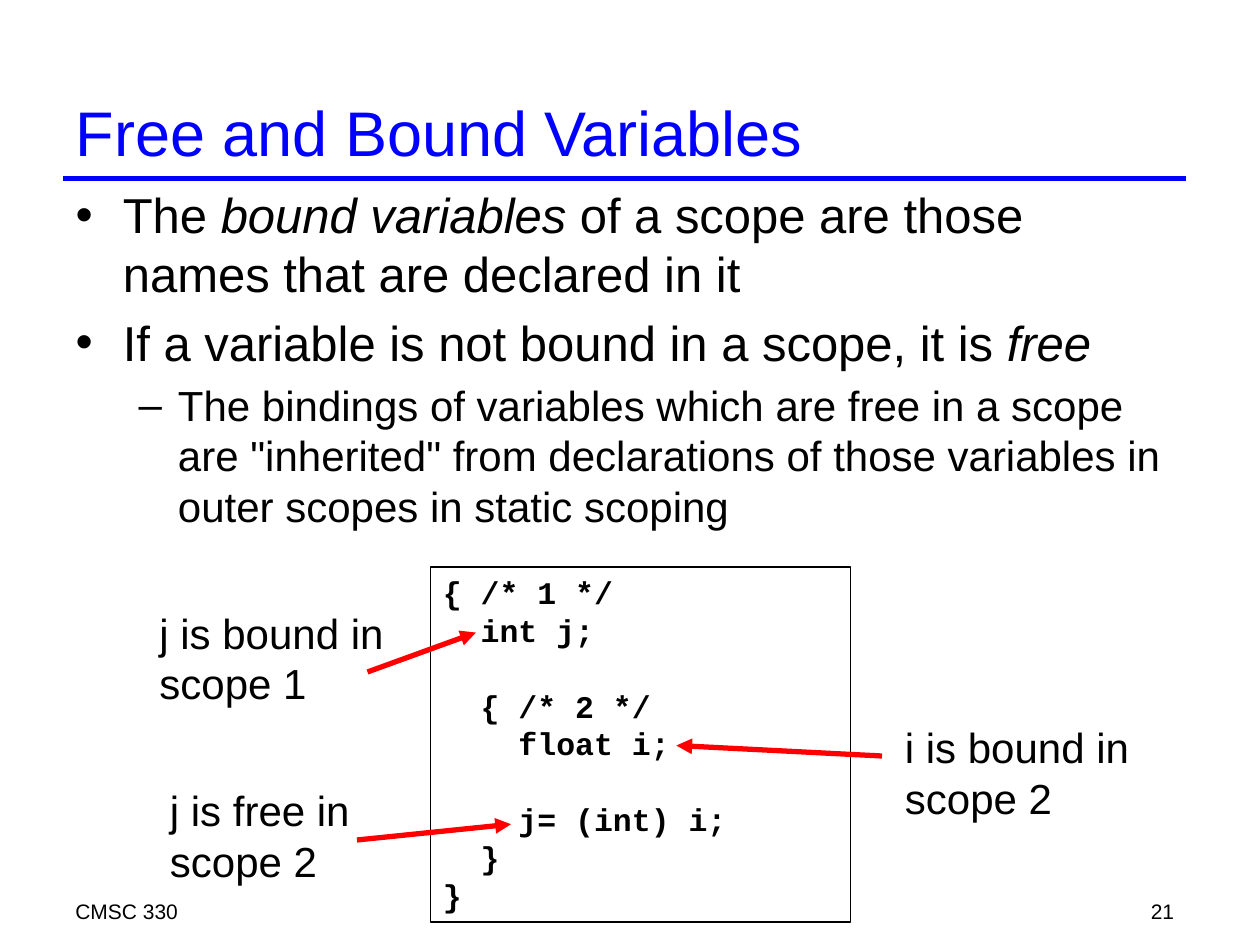
from pptx import Presentation
from pptx.dml.color import RGBColor
from pptx.enum.shapes import MSO_CONNECTOR, MSO_SHAPE
from pptx.enum.text import MSO_ANCHOR, MSO_AUTO_SIZE, PP_ALIGN
from pptx.oxml.ns import qn
from pptx.util import Pt
from lxml.etree import SubElement

BLACK, BLUE, RED, WHITE = "000000", "0000FF", "FF0000", "FFFFFF"
LINE_HEIGHT = 1.2
CODE_SIZE = 18
CODE_INDENT = 21.6  # two characters of code

# Content
TITLE = "Free and Bound Variables"
BULLETS = [  # level, size, runs of (text, italic)
    (0, 28, [("The ", False), ("bound variables", True),
             (" of a scope are those names that are declared in it", False)]),
    (0, 28, [("If a variable is not bound in a scope, it is ", False),
             ("free", True)]),
    (1, 24, [("The bindings of variables which are free in a scope are "
              "\"inherited\" from declarations of those variables in outer "
              "scopes in static scoping", False)]),
]
CODE = [  # indent level, blank lines before, text
    (0, 0, "{ /* 1 */"),
    (1, 0, "int j;"),
    (1, 1, "{ /* 2 */"),
    (2, 0, "float i;"),
    (2, 1, "j= (int) i;"),
    (1, 0, "}"),
    (0, 0, "}"),
]
LABELS = [  # left, top, width, height, lines
    (510, 409, 142.5, 64.8, ["i is bound in", "scope 2"]),
    (90, 445, 117.5, 64.8, ["j is free in", "scope 2"]),
    (84, 343.5, 142.5, 64.8, ["j is bound in", "scope 1"]),
]
ARROWS = [  # start, end
    ((504, 432), (386.5, 426)),
    ((204, 480), (292, 471)),
    ((210, 384), (272, 361.5)),
]
FOOTERS = [  # left, top, width, height, text, alignment
    (36, 510, 438, 18, "CMSC 330", PP_ALIGN.LEFT),
    (528, 510, 150, 18, "21", PP_ALIGN.RIGHT),
]


def color(hex_string):
    return RGBColor.from_string(hex_string)


def place(shape, *box):
    shape.left, shape.top, shape.width, shape.height = map(Pt, box)


def add_span(para, text, size, ink=BLACK, font="Arial", bold=False, italic=False):
    span = para.add_run()
    span.text = text
    span.font.name, span.font.size = font, Pt(size)
    span.font.bold, span.font.italic = bold, italic
    span.font.color.rgb = color(ink)


def paragraphs(frame, items):
    """Yield a paragraph of the frame for each item."""
    for index, item in enumerate(items):
        yield (frame.add_paragraph() if index else frame.paragraphs[0]), item


def add_line(start, end, ink, arrow=False):
    line = page.shapes.add_connector(
        MSO_CONNECTOR.STRAIGHT, *map(Pt, start + end))
    line.line.color.rgb, line.line.width = color(ink), Pt(3)
    if arrow:
        SubElement(line.line._get_or_add_ln(), qn("a:tailEnd"), type="triangle")
    SubElement(line._element.spPr, qn("a:effectLst"))


deck = Presentation()
deck.slide_width, deck.slide_height = Pt(720), Pt(540)
page = deck.slides.add_slide(deck.slide_layouts[1])
page.background.fill.solid()
page.background.fill.fore_color.rgb = color(WHITE)

# Title and rule
title = page.shapes.title
place(title, 36, 48, 642, 54)
title.text_frame.auto_size = MSO_AUTO_SIZE.NONE
title.text_frame.vertical_anchor = MSO_ANCHOR.MIDDLE
heading = title.text_frame.paragraphs[0]
heading.alignment = PP_ALIGN.LEFT
add_span(heading, TITLE, 36, BLUE)
add_line((36, 102), (678, 102), BLUE)

# Bullets: marks, indents and gaps come from the template
body = page.placeholders[1]
place(body, 36, 102, 642, 426)
body.text_frame.auto_size = MSO_AUTO_SIZE.NONE
for para, (level, size, spans) in paragraphs(body.text_frame, BULLETS):
    para.level = level
    para.line_spacing = Pt(size * LINE_HEIGHT)
    for text, italic in spans:
        add_span(para, text, size, italic=italic)

# Footer
for *box, text, alignment in FOOTERS:
    footer = page.shapes.add_textbox(*map(Pt, box))
    footer.text_frame.word_wrap = True
    para = footer.text_frame.paragraphs[0]
    para.alignment = alignment
    add_span(para, text, 12)

# Code box
code_box = page.shapes.add_shape(
    MSO_SHAPE.RECTANGLE, *map(Pt, (246, 324, 240, 203)))
code_box.shadow.inherit = False
code_box.fill.background()
code_box.line.color.rgb, code_box.line.width = color(BLACK), Pt(1)
code_box.text_frame.vertical_anchor = MSO_ANCHOR.TOP
code_height = CODE_SIZE * LINE_HEIGHT
for para, (level, blanks, text) in paragraphs(code_box.text_frame, CODE):
    para.alignment = PP_ALIGN.LEFT
    para.line_spacing = Pt(code_height)
    para.space_before = Pt(blanks * code_height)
    para._p.get_or_add_pPr().set("marL", str(Pt(level * CODE_INDENT)))
    add_span(para, text, CODE_SIZE, font="Courier New", bold=True)

# Labels and their arrows
for *box, lines in LABELS:
    label = page.shapes.add_textbox(*map(Pt, box))
    label.text_frame.word_wrap = False
    for para, text in paragraphs(label.text_frame, lines):
        para.line_spacing = Pt(24 * LINE_HEIGHT)
        add_span(para, text, 24)
for start, end in ARROWS:
    add_line(start, end, RED, arrow=True)

deck.save("out.pptx")
